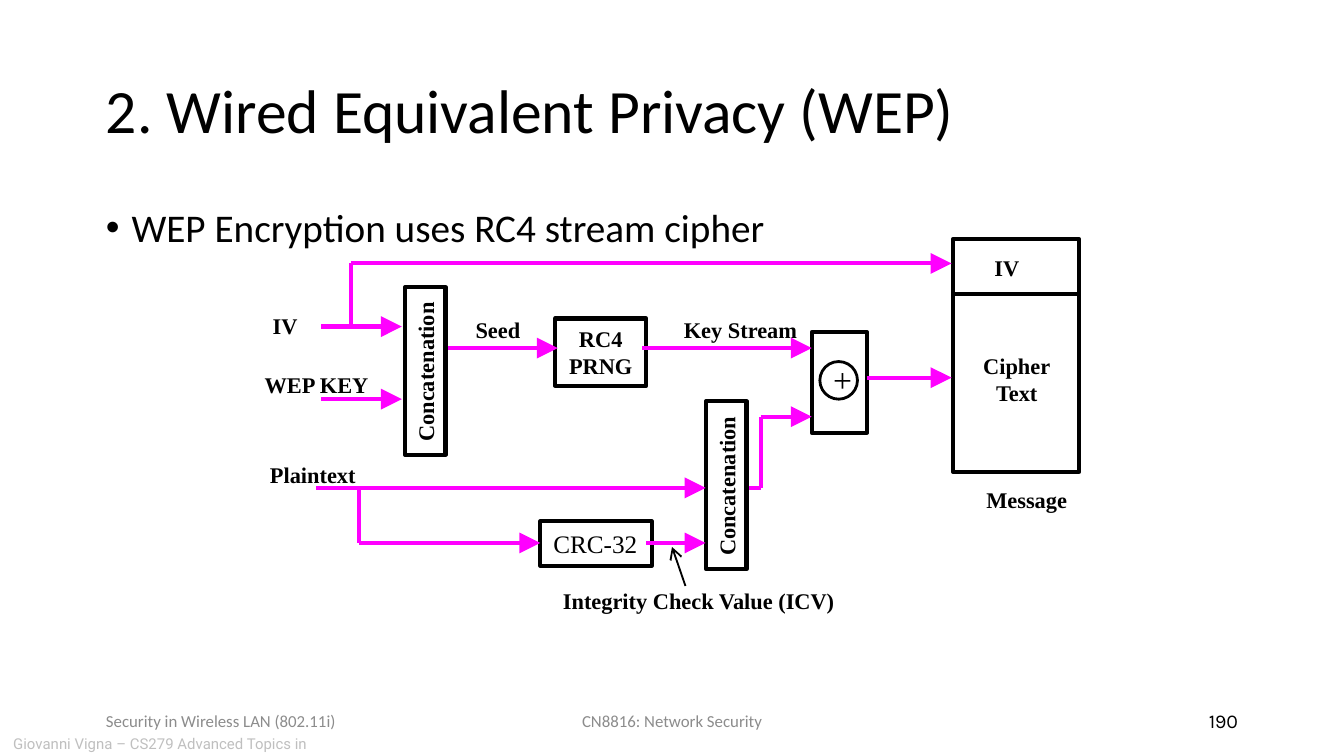
from dataclasses import dataclass

from lxml import etree
from pptx import Presentation
from pptx.dml.color import RGBColor
from pptx.enum import shapes, text
from pptx.oxml import ns
from pptx.util import Inches, Pt

BLACK, WHITE, GRAY, PALE, MAGENTA = "000000", "FFFFFF", "8C8C8C", "BFBFBF", "FF00FF"
SERIF = "Times New Roman"
LEFT, CENTER, RIGHT = text.PP_ALIGN.LEFT, text.PP_ALIGN.CENTER, text.PP_ALIGN.RIGHT
TOP, MIDDLE = text.MSO_ANCHOR.TOP, text.MSO_ANCHOR.MIDDLE
RECT, OVAL = shapes.MSO_SHAPE.RECTANGLE, shapes.MSO_SHAPE.OVAL


@dataclass
class Words:
    content: str
    size: float = 12
    font: str = SERIF
    color: str = BLACK
    bold: bool = False
    align: text.PP_ALIGN = LEFT
    anchor: text.MSO_ANCHOR = TOP
    wrap: bool = False


@dataclass
class Block:
    left: float
    top: float
    width: float
    height: float
    words: Words | None = None
    line: str = BLACK
    weight: float = 2.25
    rotation: float = 0
    kind: shapes.MSO_SHAPE = RECT


@dataclass
class Flow:
    points: list[tuple[float, float]]
    head: str | None = "triangle"
    color: str = MAGENTA
    weight: float = 2.25
    head_size: str = "lg"


def rgb(color: str) -> RGBColor:
    return RGBColor.from_string(color)


def write(shape, words: Words) -> None:
    frame = shape.text_frame
    frame.text = words.content
    frame.word_wrap = words.wrap
    frame.vertical_anchor = words.anchor
    for paragraph in frame.paragraphs:
        paragraph.alignment = words.align
        for run in paragraph.runs:
            run.font.name = words.font
            run.font.size = Pt(words.size)
            run.font.bold = words.bold
            run.font.color.rgb = rgb(words.color)


def add_label(slide, left: float, top: float, width: float, height: float, words: Words):
    label = slide.shapes.add_textbox(Inches(left), Inches(top), Inches(width), Inches(height))
    write(label, words)
    return label


def add_block(slide, block: Block) -> None:
    shape = slide.shapes.add_shape(block.kind, Inches(block.left), Inches(block.top),
                                   Inches(block.width), Inches(block.height))
    shape.shadow.inherit = False
    shape.fill.background()
    shape.line.color.rgb = rgb(block.line)
    shape.line.width = Pt(block.weight)
    shape.rotation = block.rotation
    if block.words:
        write(shape, block.words)


def add_flow(slide, flow: Flow) -> None:
    """Draw straight segments through the points, with the head on the last one."""
    for start, end in zip(flow.points, flow.points[1:]):
        segment = slide.shapes.add_connector(shapes.MSO_CONNECTOR.STRAIGHT,
                                             *map(Inches, start + end))
        segment.line.color.rgb = rgb(flow.color)
        segment.line.width = Pt(flow.weight)
        if flow.head and end == flow.points[-1]:
            etree.SubElement(segment.line._get_or_add_ln(), ns.qn("a:tailEnd"),
                             type=flow.head, w=flow.head_size, len=flow.head_size)
        etree.SubElement(segment._element.spPr, ns.qn("a:effectLst"))


def add_bullet(paragraph, indent: float) -> None:
    properties = paragraph._p.get_or_add_pPr()
    properties.set("marL", str(Inches(indent)))
    properties.set("indent", str(-Inches(indent)))
    etree.SubElement(properties, ns.qn("a:buFont"), typeface="Arial")
    etree.SubElement(properties, ns.qn("a:buChar"), char="•")


def strong(content: str, align: text.PP_ALIGN = LEFT) -> Words:
    return Words(content, bold=True, align=align)


BLOCKS = [
    Block(6.04, 2.47, 0.41, 0.75),  # XOR stage
    Block(6.1, 2.69, 0.28, 0.28, weight=1.5, kind=OVAL),
    Block(4.13, 2.37, 0.68, 0.5, strong("RC4\nPRNG", CENTER)),
    Block(2.54, 2.61, 1.25, 0.3, strong("Concatenation"), rotation=270),
    Block(4.78, 3.46, 1.25, 0.3, strong("Concatenation"), rotation=270),
    Block(4.02, 3.88, 0.83, 0.33, Words("CRC-32", 13.5)),
    Block(7.09, 1.78, 0.94, 1.73),  # message
    Block(7.17, 2.57, 0.79, 0.5, strong("Cipher\nText", CENTER), line=WHITE),
]

FLOWS = [
    Flow([(7.09, 2.19), (8.04, 2.19)], None, BLACK),  # message divider
    Flow([(2.39, 2.43), (2.99, 2.43)]),  # IV
    Flow([(2.39, 2.97), (2.99, 2.97)]),  # key
    Flow([(3.33, 2.59), (4.15, 2.59)]),  # seed
    Flow([(2.35, 3.63), (5.25, 3.63)]),  # plaintext
    Flow([(2.67, 3.63), (2.67, 4.04), (4.02, 4.04)]),  # plaintext to checksum
    Flow([(4.81, 4.04), (5.25, 4.04)]),  # checksum
    Flow([(4.78, 2.59), (6.04, 2.59)]),  # key stream
    Flow([(5.57, 3.63), (5.66, 3.63), (5.66, 3.1), (6.04, 3.1)]),  # data to XOR
    Flow([(6.45, 2.81), (7.08, 2.81)]),  # cipher text
    Flow([(2.61, 2.43), (2.61, 1.96), (7.08, 1.96)]),  # IV to message
    Flow([(5.1, 4.36), (5, 4.07)], "arrow", BLACK, 1, "med"),  # ICV pointer
]

LABELS = [
    (7.3, 1.84, 0.39, "IV"),
    (1.93, 2.27, 0.39, "IV"),
    (1.87, 2.71, 0.98, "WEP KEY"),
    (1.91, 3.38, 0.85, "Plaintext"),
    (3.44, 2.3, 0.54, "Seed"),
    (4.99, 2.3, 1.06, "Key Stream"),
    (4.09, 4.32, 2.24, "Integrity Check Value (ICV)"),
    (7.24, 3.57, 0.81, "Message"),
]

FOOTERS = [
    (0.69, 2.25, Words("Security in Wireless LAN (802.11i)", 9, "Calibri", GRAY,
                       anchor=MIDDLE, wrap=True)),
    (3.31, 3.38, Words("CN8816: Network Security", 9, "Calibri", GRAY,
                       align=CENTER, anchor=MIDDLE, wrap=True)),
    (7.06, 2.25, Words("190", 10.5, "Karla", align=RIGHT, anchor=MIDDLE, wrap=True)),
]


def main() -> None:
    deck = Presentation()
    # Widescreen, 16:9
    deck.slide_width = Inches(10)
    deck.slide_height = Inches(10 * 9 / 16)
    slide = deck.slides.add_slide(deck.slide_layouts[6])

    # Footers
    add_label(slide, 0, 5.42, 2.8, 0.24,
              Words("Giovanni Vigna – CS279 Advanced Topics in", 8, "Roboto", PALE))
    for left, width, words in FOOTERS:
        add_label(slide, left, 5.21, width, 0.3, words)

    # Title and bullet
    title = add_label(slide, 0.69, 0.3, 8.62, 1.09,
                      Words("2. Wired Equivalent Privacy (WEP)", 33, "Calibri",
                            anchor=MIDDLE, wrap=True))
    title.text_frame.paragraphs[0].line_spacing = 0.9
    body = add_label(slide, 0.69, 1.5, 8.62, 3.57,
                     Words("WEP Encryption uses RC4 stream cipher", 21, "Calibri", wrap=True))
    point = body.text_frame.paragraphs[0]
    point.line_spacing = 0.9
    point.space_before = Pt(7.5)
    add_bullet(point, 0.19)

    # Encryption diagram
    for block in BLOCKS:
        add_block(slide, block)
    add_label(slide, 6.1, 2.62, 0.34, 0.4, Words("+", 18))
    for flow in FLOWS:
        add_flow(slide, flow)
    for left, top, width, content in LABELS:
        add_label(slide, left, top, width, 0.3, strong(content))

    deck.save("out.pptx")


if __name__ == "__main__":
    main()
